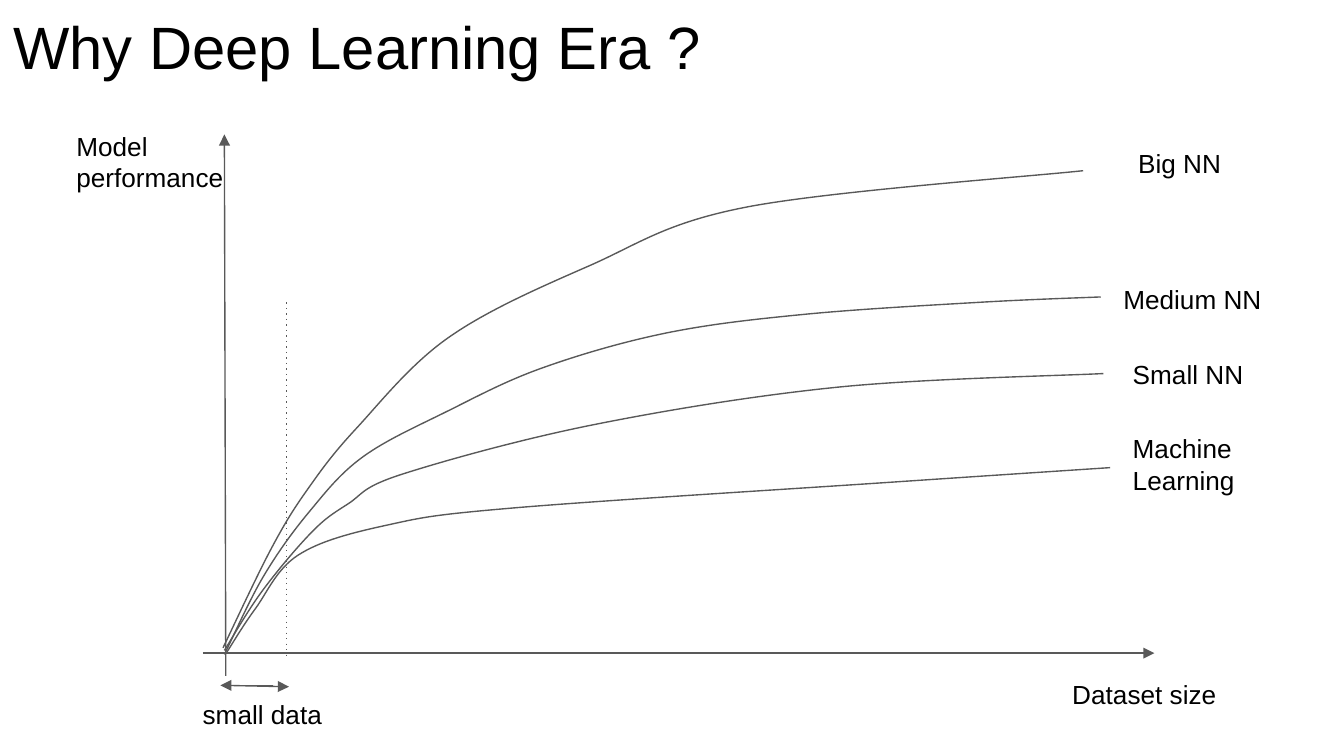
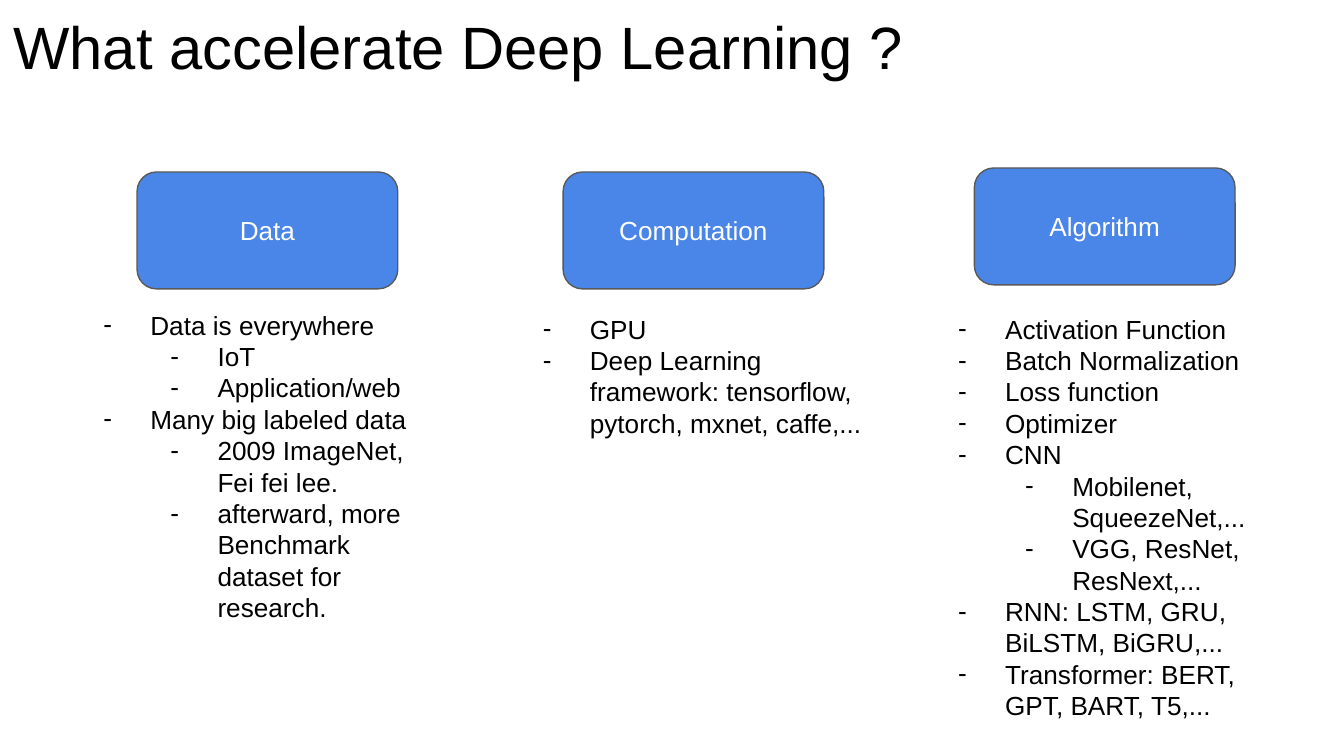
import lxml.etree
import pptx
import pptx.dml.color
import pptx.enum.shapes
import pptx.enum.text
import pptx.oxml.ns
import pptx.util

Inches = pptx.util.Inches
qn = pptx.oxml.ns.qn
ANCHOR = pptx.enum.text.MSO_ANCHOR
ALIGN = pptx.enum.text.PP_ALIGN
FIT = pptx.enum.text.MSO_AUTO_SIZE

# Shared style
COLORS = {"text": "000000", "line": "595959", "card": "4A86E8", "card_text": "FFFFFF"}
FONT = "Arial"
TITLE_SIZE, BODY_SIZE = 32, 14
LINE_WIDTH = 0.75
INSET = 0.1
PAGE_WIDTH = 10
PAGE_HEIGHT = PAGE_WIDTH * 9 / 16

# Learning curves: the points each one passes through
CURVES = {
    "Machine Learning": [(1.69, 4.85), (1.9, 4.53), (2.22, 4.13), (2.87, 3.91),
                         (3.82, 3.78), (6.61, 3.59), (8.26, 3.48)],
    "Small NN": [(1.67, 4.84), (1.95, 4.4), (2.32, 3.96), (2.59, 3.75), (2.99, 3.53),
                 (4.42, 3.16), (6.25, 2.88), (8.21, 2.78)],
    "Medium NN": [(1.67, 4.87), (1.96, 4.29), (2.3, 3.81), (2.7, 3.4), (3.33, 3.06),
                  (4.03, 2.74), (4.95, 2.48), (5.98, 2.34), (7.29, 2.25), (8.19, 2.21)],
    "Big NN": [(1.66, 4.82), (2.02, 4.08), (2.29, 3.64), (2.65, 3.19), (3.34, 2.51),
               (4.38, 1.98), (5.56, 1.54), (8.06, 1.27)],
}

# Chart labels: lines of text, left, top, width, height
LABELS = [
    (["Medium NN"], 8.26, 2.01, 1.63, 0.44),
    (["Machine Learning"], 8.33, 3.12, 1.63, 0.67),
    (["Small NN"], 8.33, 2.57, 1.63, 0.44),
    (["Big NN"], 8.37, 1, 1.63, 0.44),
    (["Dataset size"], 7.88, 4.95, 1.63, 0.44),
    (["Model", "performance"], 0.47, 0.87, 1.63, 0.67),
    (["small data"], 1.41, 5.1, 1.57, 0.44),
]

# Drivers: name, card corner, list corner and height, items as (level, text)
DRIVERS = [
    ("Data", (1.02, 1.28), (0.52, 2.2), 2.56, [
        (0, "Data is everywhere"),
        (1, "IoT"),
        (1, "Application/web"),
        (0, "Many big labeled data"),
        (1, "2009 ImageNet, Fei fei lee."),
        (1, "afterward, more Benchmark dataset for research."),
    ]),
    ("Computation", (4.19, 1.28), (3.79, 2.23), 1.14, [
        (0, "GPU"),
        (0, "Deep Learning framework: tensorflow, pytorch, mxnet, caffe,..."),
    ]),
    ("Algorithm", (7.25, 1.25), (6.88, 2.23), 3.27, [
        (0, "Activation Function"),
        (0, "Batch Normalization"),
        (0, "Loss function"),
        (0, "Optimizer"),
        (0, "CNN"),
        (1, "Mobilenet, SqueezeNet,..."),
        (1, "VGG, ResNet, ResNext,..."),
        (0, "RNN: LSTM, GRU, BiLSTM, BiGRU,..."),
        (0, "Transformer: BERT, GPT, BART, T5,..."),
    ]),
]


def rgb(name):
    return pptx.dml.color.RGBColor.from_string(COLORS[name])


def set_frame(frame, anchor, fit=FIT.NONE):
    frame.word_wrap = True
    frame.auto_size = fit
    frame.vertical_anchor = anchor
    frame.margin_left = frame.margin_right = Inches(INSET)
    frame.margin_top = frame.margin_bottom = Inches(INSET)


def write(para, text, size=BODY_SIZE, color="text", align=ALIGN.LEFT):
    para.alignment = align
    span = para.add_run()
    span.text = text
    span.font.name = FONT
    span.font.size = pptx.util.Pt(size)
    span.font.color.rgb = rgb(color)


def style_line(line):
    line.color.rgb = rgb("line")
    line.width = pptx.util.Pt(LINE_WIDTH)


def add_page(deck, title):
    page = deck.slides.add_slide(deck.slide_layouts[5])
    box = page.shapes.title
    box.left, box.top = Inches(0), Inches(0.23)
    box.width, box.height = Inches(9.32), Inches(0.48)
    set_frame(box.text_frame, ANCHOR.BOTTOM)
    write(box.text_frame.paragraphs[0], title, TITLE_SIZE)
    return page


def add_line(page, start, end, arrow=False, dotted=False):
    line = page.shapes.add_connector(
        pptx.enum.shapes.MSO_CONNECTOR.STRAIGHT,
        *[Inches(value) for value in (*start, *end)])
    style_line(line.line)
    properties = line._element.spPr
    outline = properties.find(qn("a:ln"))
    if dotted:
        lxml.etree.SubElement(outline, qn("a:prstDash"), val="dot")
    if arrow:
        lxml.etree.SubElement(outline, qn("a:tailEnd"), type="triangle")
    lxml.etree.SubElement(properties, qn("a:effectLst"))


def add_curve(page, knots):
    """Draw a smooth curve through the knots, with Catmull-Rom tangents."""
    padded = [knots[0], *knots, knots[-1]]
    points = []
    for before, start, end, after in zip(padded, padded[1:], padded[2:], padded[3:]):
        points.append([s + (e - b) / 6 for b, s, e in zip(before, start, end)])
        points.append([e - (a - s) / 6 for s, e, a in zip(start, end, after)])
        points.append(end)
    builder = page.shapes.build_freeform(*[Inches(value) for value in knots[0]])
    builder.add_line_segments([(Inches(x), Inches(y)) for x, y in points], close=False)
    curve = builder.convert_to_shape()
    curve.shadow.inherit = False
    curve.fill.background()
    style_line(curve.line)
    # Turn each three segments into one Bezier piece
    outline = curve._element.spPr.find(".//" + qn("a:path"))
    segments = outline.findall(qn("a:lnTo"))
    for first in range(0, len(segments), 3):
        piece = lxml.etree.SubElement(outline, qn("a:cubicBezTo"))
        for segment in segments[first:first + 3]:
            piece.append(segment[0])
            outline.remove(segment)


def add_text(page, items, left, top, width, height, bullets=False):
    box = page.shapes.add_textbox(*[Inches(v) for v in (left, top, width, height)])
    frame = box.text_frame
    set_frame(frame, ANCHOR.TOP, FIT.SHAPE_TO_FIT_TEXT)
    for index, (level, text) in enumerate(items):
        para = frame.add_paragraph() if index else frame.paragraphs[0]
        write(para, text)
        if bullets:
            add_bullet(para, level)


def add_bullet(para, level):
    para.level = level
    properties = para._p.get_or_add_pPr()
    properties.set("marL", str(Inches(0.5 * (level + 1))))
    properties.set("indent", str(Inches(-0.35)))
    color = lxml.etree.SubElement(properties, qn("a:buClr"))
    lxml.etree.SubElement(color, qn("a:srgbClr"), val=COLORS["text"])
    lxml.etree.SubElement(properties, qn("a:buFont"), typeface=FONT)
    lxml.etree.SubElement(properties, qn("a:buChar"), char="-")


def add_card(page, name, left, top):
    card = page.shapes.add_shape(
        pptx.enum.shapes.MSO_SHAPE.ROUNDED_RECTANGLE,
        Inches(left), Inches(top), Inches(1.94), Inches(0.87))
    card.shadow.inherit = False
    card.fill.solid()
    card.fill.fore_color.rgb = rgb("card")
    style_line(card.line)
    set_frame(card.text_frame, ANCHOR.MIDDLE)
    write(card.text_frame.paragraphs[0], name, color="card_text", align=ALIGN.CENTER)


def build_performance_page(deck):
    page = add_page(deck, "Why Deep Learning Era ?")
    # Axes
    add_line(page, (1.51, 4.86), (8.59, 4.86), arrow=True)
    add_line(page, (1.68, 5.03), (1.67, 1), arrow=True)
    for knots in CURVES.values():
        add_curve(page, knots)
    for lines, *place in LABELS:
        add_text(page, [(0, text) for text in lines], *place)
    # Small data range
    add_line(page, (2.13, 2.25), (2.13, 4.89), dotted=True)
    add_line(page, (1.69, 5.1), (2.15, 5.11), arrow=True)
    add_line(page, (2.03, 5.1), (1.64, 5.1), arrow=True)


def build_drivers_page(deck):
    page = add_page(deck, "What accelerate Deep Learning ?")
    for name, card_corner, list_corner, height, items in DRIVERS:
        add_card(page, name, *card_corner)
        add_text(page, items, *list_corner, 2.75, height, bullets=True)


def main():
    deck = pptx.Presentation()
    deck.slide_width, deck.slide_height = Inches(PAGE_WIDTH), Inches(PAGE_HEIGHT)
    build_performance_page(deck)
    build_drivers_page(deck)
    deck.save("out.pptx")


if __name__ == "__main__":
    main()
